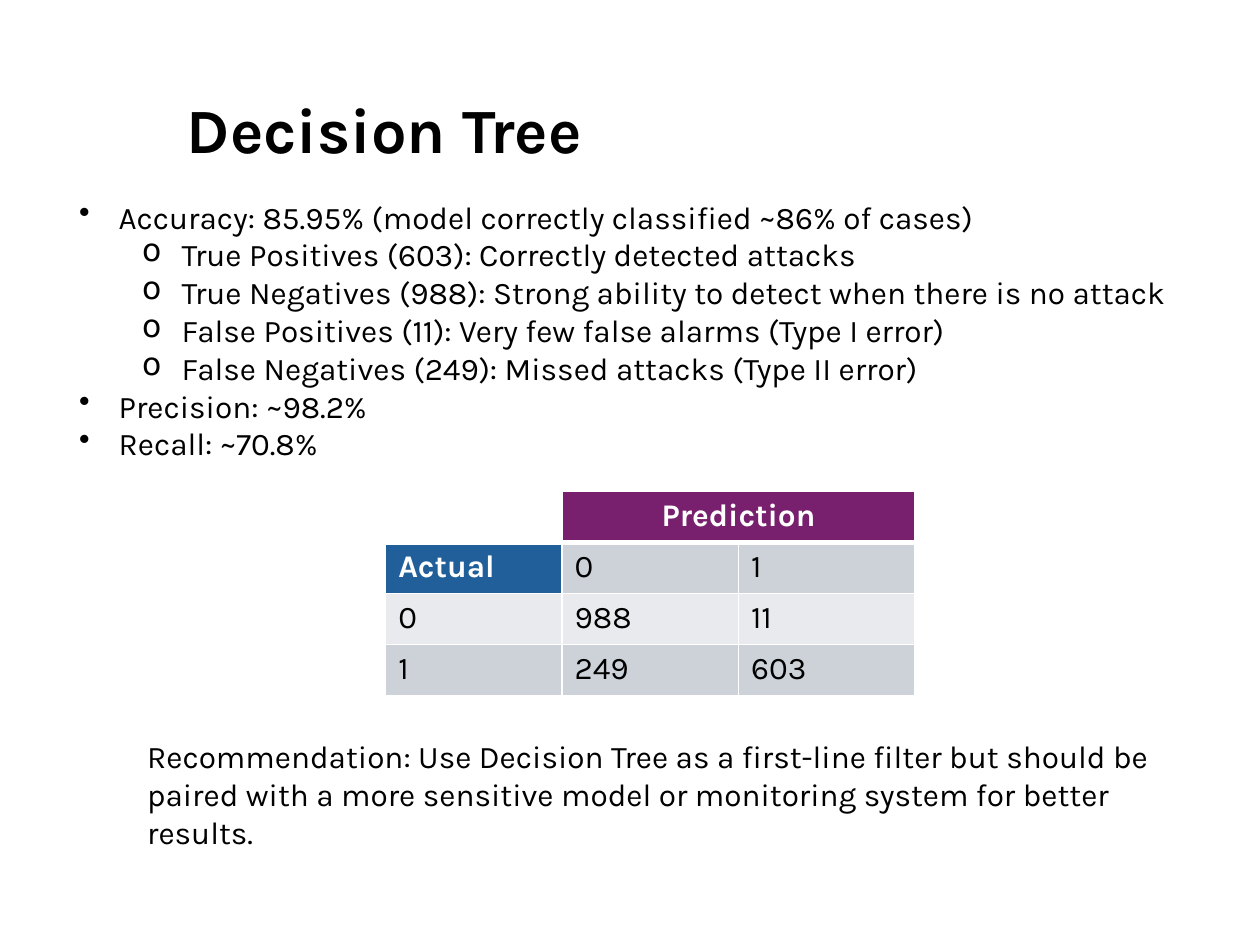
from lxml import etree
from pptx import Presentation
from pptx import util as u
from pptx.dml import color
from pptx.enum import text
from pptx.oxml import ns

Pt = u.Pt
HUES = {
    "black": "000000", "white": "FFFFFF", "plum": "78206E",
    "blue": "215F9A", "dark": "CCD2D8", "light": "E8EAED",
}


def rgb(name):
    return color.RGBColor.from_string(HUES[name])


def style(para, size=18, hue="black", bold=False):
    font = para.font
    font.name, font.size, font.bold = "Karla", Pt(size), bold
    font.color.rgb = rgb(hue)


deck = Presentation()
deck.slide_width, deck.slide_height = Pt(720), Pt(540)
slide = deck.slides.add_slide(deck.slide_layouts[6])

# Findings
box = slide.shapes.add_textbox(Pt(38.2), Pt(109.4), Pt(643.7), Pt(159.8))
frame = box.text_frame
frame.word_wrap = True
points = [
    (0, "Accuracy: 85.95% (model correctly classified ~86% of cases)"),
    (1, "True Positives (603): Correctly detected attacks"),
    (1, "True Negatives (988): Strong ability to detect when there is no attack"),
    (1, "False Positives (11): Very few false alarms (Type I error)"),
    (1, "False Negatives (249): Missed attacks (Type II error)"),
    (0, "Precision: ~98.2%"),
    (0, "Recall: ~70.8%"),
]
for i, (level, line) in enumerate(points):
    para = frame.paragraphs[0] if i == 0 else frame.add_paragraph()
    para.text, para.level = line, level
    props = para._p.get_or_add_pPr()
    props.set("marL", str(Pt(22.5 + 36 * level)))
    props.set("indent", str(Pt(-22.5)))
    mark = etree.SubElement(props, ns.qn("a:buChar"))
    mark.set("char", "•o"[level])
    style(para)

# Recommendation
box = slide.shapes.add_textbox(Pt(77), Pt(417.6), Pt(589), Pt(51))
box.text_frame.word_wrap = True
para = box.text_frame.paragraphs[0]
para.text = (
    "Recommendation: Use Decision Tree as a first-line filter but should be "
    "paired with a more sensitive model or monitoring system for better results."
)
style(para)

# Confusion matrix
rows = [
    ["", "Prediction", ""],
    ["Actual", "0", "1"],
    ["0", "988", "11"],
    ["1", "249", "603"],
]
fills = {(0, 1): "plum", (0, 2): "plum", (1, 0): "blue"}
grid = slide.shapes.add_table(
    4, 3, Pt(220.4), Pt(280.8), Pt(302.4), Pt(116.8)).table
grid.first_row = grid.horz_banding = False
for col in grid.columns:
    col.width = Pt(100.8)
for r, row in enumerate(rows):
    grid.rows[r].height = Pt(29.2)
    for c, word in enumerate(row):
        cell = grid.cell(r, c)
        props = cell._tc.get_or_add_tcPr()
        for side in "LRTB":
            thick = (r, side) in [(0, "B"), (1, "T")]
            edge = etree.SubElement(props, ns.qn("a:ln" + side))
            edge.set("w", str(Pt(3 if thick else 1)))
            paint = etree.SubElement(edge, ns.qn("a:solidFill"))
            etree.SubElement(paint, ns.qn("a:srgbClr")).set("val", HUES["white"])
        head = (r, c) in fills
        if (r, c) == (0, 0):
            cell.fill.background()
        else:
            cell.fill.solid()
            cell.fill.fore_color.rgb = rgb(
                fills.get((r, c), "dark" if r % 2 else "light"))
        para = cell.text_frame.paragraphs[0]
        para.text = word
        style(para, hue="white" if head else "black", bold=head)
grid.cell(0, 1).merge(grid.cell(0, 2))
grid.cell(0, 1).text_frame.paragraphs[0].alignment = text.PP_ALIGN.CENTER

# Title
box = slide.shapes.add_textbox(Pt(38.2), Pt(51.1), Pt(362.9), Pt(38.2))
frame = box.text_frame
frame.word_wrap = True
frame.margin_left = frame.margin_right = Pt(5)
frame.margin_top, frame.margin_bottom = Pt(5.5), Pt(0)
para = frame.paragraphs[0]
para.text = "Decision Tree"
para.alignment = text.PP_ALIGN.CENTER
para.line_spacing = 0.9
style(para, size=36, bold=True)

deck.save("out.pptx")
